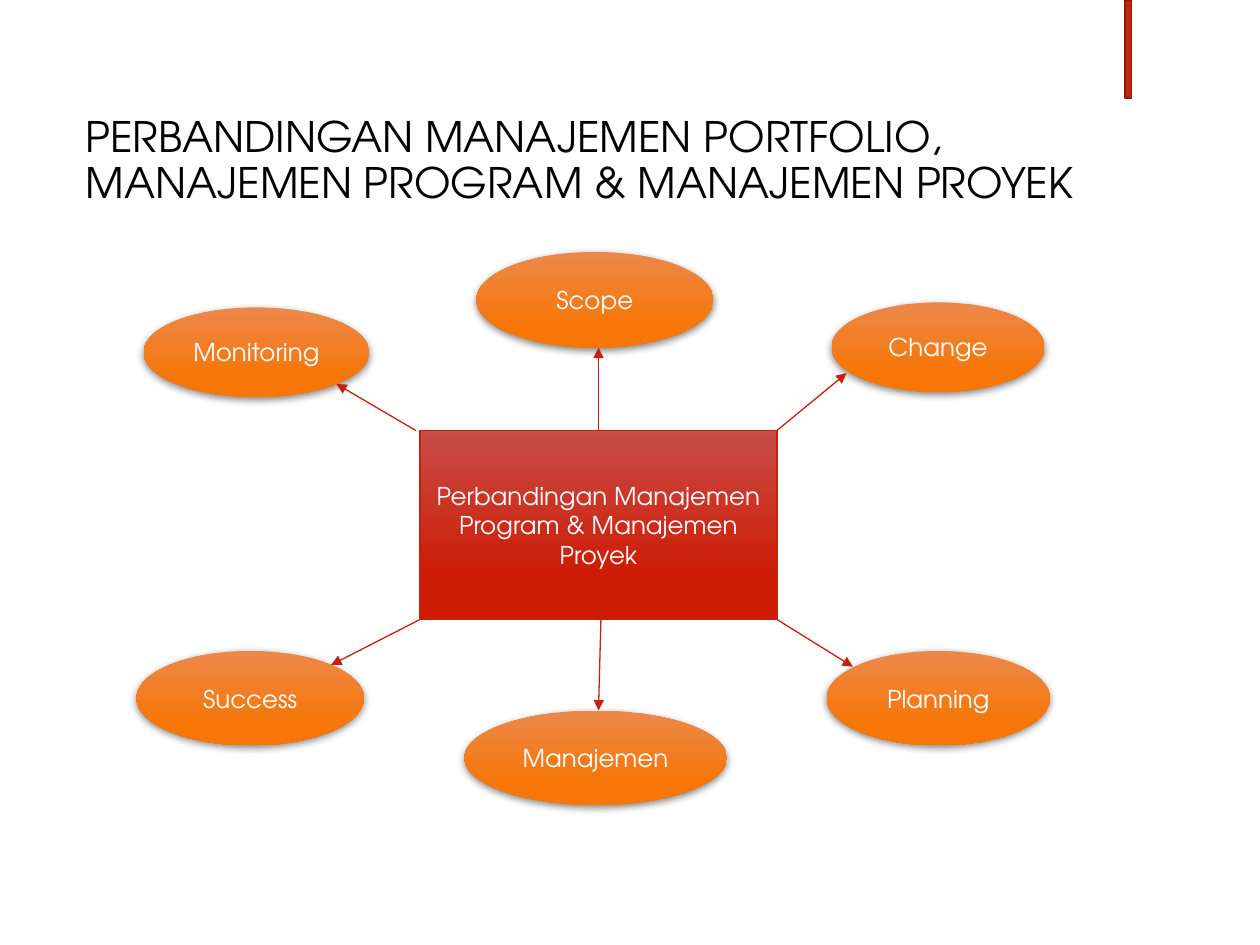
from lxml import etree
from pptx import Presentation
from pptx import util as u
from pptx.dml import color
from pptx.enum import shapes, text
from pptx.oxml import ns

RED = "C4220D"
WHITE = "FFFFFF"
RED_GRADIENT = ("C94D48", "CD1B04")
ORANGE_GRADIENT = ("ED884B", "F67607")


def rgb(value):
    return color.RGBColor.from_string(value)


def points(values):
    return [u.Pt(value) for value in values]


def add_element(parent, tag, **attributes):
    return etree.SubElement(parent, ns.qn(tag), attributes)


class SlideBuilder:
    font = "TeX Gyre Adventor"

    def __init__(self, slide):
        self.slide = slide

    def set_text(self, shape, words, size, ink, **paragraph_format):
        frame = shape.text_frame
        frame_format = {"word_wrap": True, "vertical_anchor": text.MSO_ANCHOR.MIDDLE}
        for name, value in frame_format.items():
            setattr(frame, name, value)
        para = frame.paragraphs[0]
        for name, value in paragraph_format.items():
            setattr(para, name, value)
        span = para.add_run()
        span.text = words
        for name, value in {"name": self.font, "size": u.Pt(size)}.items():
            setattr(span.font, name, value)
        span.font.color.rgb = rgb(ink)

    def title(self, words, place):
        box = self.slide.shapes.add_textbox(*points(place))
        self.set_text(box, words, 24, "000000", line_spacing=0.9)

    def shape(self, kind, place, line=None, width=0.75):
        shape = self.slide.shapes.add_shape(kind, *points(place))
        if line:
            shape.line.color.rgb = rgb(line)
            shape.line.width = u.Pt(width)
        else:
            shape.line.fill.background()
        shape.shadow.inherit = False
        return shape

    def bar(self, place):
        bar = self.shape(shapes.MSO_SHAPE.RECTANGLE, place, "91190A", 1)
        bar.fill.solid()
        bar.fill.fore_color.rgb = rgb(RED)

    def label(self, shape, words, gradient):
        shape.fill.gradient()
        shape.fill.gradient_angle = 270
        for stop, position, shade in zip(shape.fill.gradient_stops, (0, 0.78), gradient):
            stop.position = position
            stop.color.rgb = rgb(shade)
        self.set_text(shape, words, 14, WHITE, alignment=text.PP_ALIGN.CENTER)

    def center(self, words, place):
        box = self.shape(shapes.MSO_SHAPE.RECTANGLE, place, RED)
        self.label(box, words, RED_GRADIENT)

    def topic(self, words, place):
        oval = self.shape(shapes.MSO_SHAPE.OVAL, place)
        self.label(oval, words, ORANGE_GRADIENT)
        effects = oval._element.spPr.find(ns.qn("a:effectLst"))
        shadow = add_element(effects, "a:outerShdw", blurRad=str(u.Pt(4.5)),
                             dist=str(u.Pt(1.5)), dir="5400000", rotWithShape="0")
        shade = add_element(shadow, "a:srgbClr", val="000000")
        add_element(shade, "a:alpha", val="48000")

    def arrow(self, start, end):
        arrow = self.slide.shapes.add_connector(
            shapes.MSO_CONNECTOR.STRAIGHT, *points(start + end))
        arrow.line.color.rgb = rgb(RED)
        arrow.line.width = u.Pt(0.75)
        outline = arrow._element.spPr.find(ns.qn("a:ln"))
        add_element(outline, "a:tailEnd", type="triangle")
        add_element(arrow._element.spPr, "a:effectLst")


def main():
    deck = Presentation()
    deck.slide_width, deck.slide_height = points((720, 540))
    page = SlideBuilder(deck.slides.add_slide(deck.slide_layouts[6]))

    page.bar((643, 0, 3.6, 56.2))
    page.title("PERBANDINGAN MANAJEMEN PORTFOLIO, MANAJEMEN PROGRAM & MANAJEMEN PROYEK",
               (41.8, 41.8, 643.7, 101.5))

    left, top, width, height = 240, 246, 204, 108
    right, bottom = left + width, top + height
    page.center("Perbandingan Manajemen Program & Manajemen Proyek",
                (left, top, width, height))

    topics = [
        ("Scope", (272.2, 144, 135.4, 54.7), (342, top), (342, 198.7)),
        ("Manajemen", (265.4, 406, 150, 54), (343.4, bottom), (342, 406)),
        ("Planning", (472.4, 372, 127.6, 54), (right, bottom), (487.4, 381)),
        ("Success", (78, 372, 130, 54), (left, bottom), (189.2, 380)),
        ("Change", (475.2, 172.8, 121.7, 51.2), (right, top), (483.8, 213.2)),
        ("Monitoring", (82, 175.7, 129, 51.2), (237.6, top), (192.2, 219.4)),
    ]
    for words, place, start, end in topics:
        page.topic(words, place)
        page.arrow(start, end)

    deck.save("out.pptx")


if __name__ == "__main__":
    main()
